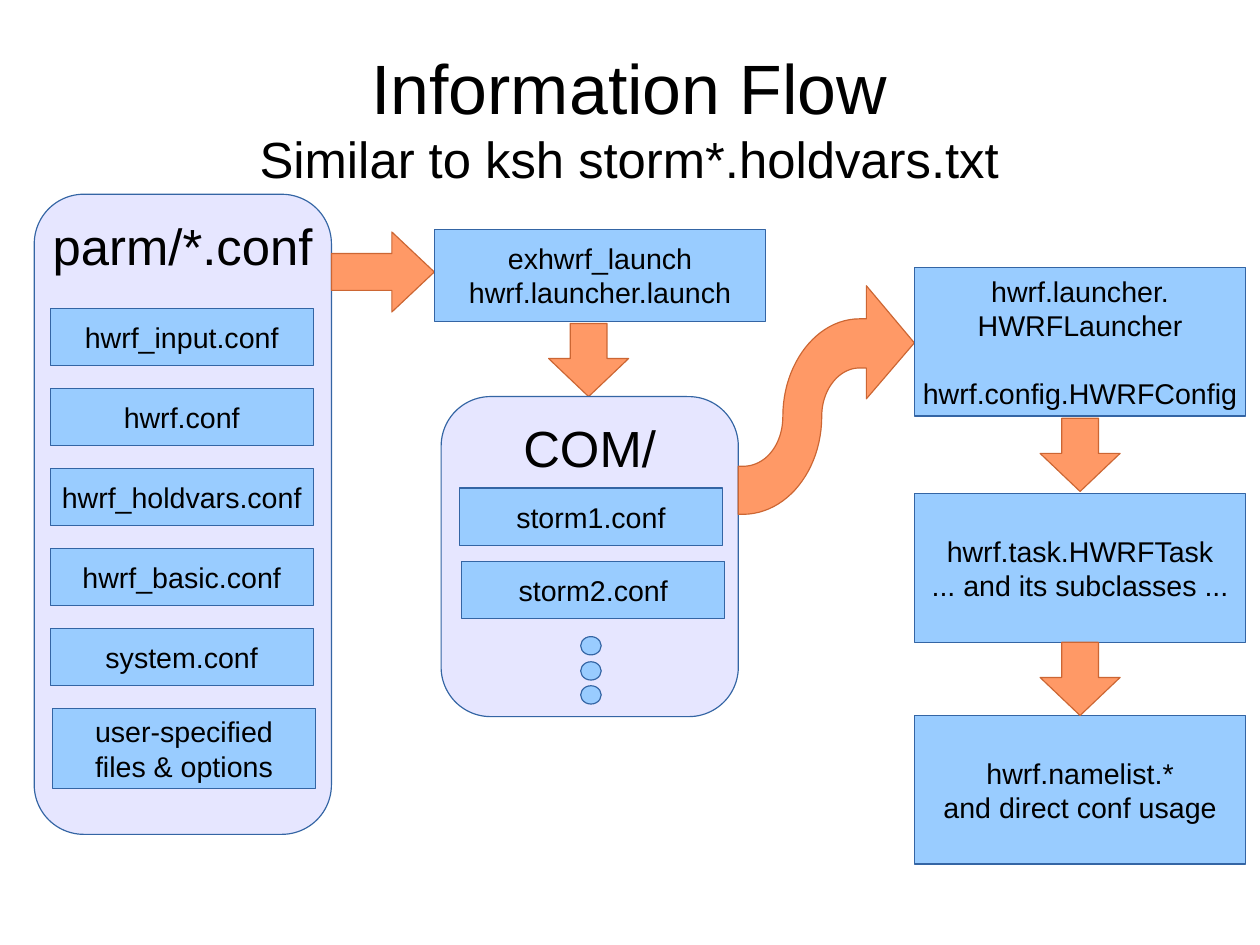
from pptx import Presentation
from pptx.dml.color import RGBColor
from pptx.enum.shapes import MSO_SHAPE
from pptx.enum.text import MSO_ANCHOR, MSO_AUTO_SIZE, PP_ALIGN
from pptx.util import Cm, Pt

EMU_PER_PX = 9144  # 100 px to the inch
PANEL = MSO_SHAPE.FLOWCHART_ALTERNATE_PROCESS
BOX = MSO_SHAPE.FLOWCHART_PROCESS
DOT = MSO_SHAPE.FLOWCHART_CONNECTOR
RIGHT_ARROW = MSO_SHAPE.RIGHT_ARROW
DOWN_ARROW = MSO_SHAPE.DOWN_ARROW
TOP, MIDDLE = MSO_ANCHOR.TOP, MSO_ANCHOR.MIDDLE
CENTER = PP_ALIGN.CENTER
NO_AUTOFIT = MSO_AUTO_SIZE.NONE

BLACK = RGBColor(0x00, 0x00, 0x00)
LAVENDER = RGBColor(0xE6, 0xE6, 0xFF)
SKY = RGBColor(0x99, 0xCC, 0xFF)
BLUE = RGBColor(0x34, 0x65, 0xA4)
ORANGE = RGBColor(0xFF, 0x99, 0x66)
RUST = RGBColor(0xCC, 0x66, 0x33)
FONT = "Arial"
TITLE_ONLY = 5


def px(*lengths):
    return [round(length * EMU_PER_PX) for length in lengths]


def format_font(font, size):
    font.name = FONT
    font.size = Pt(size)
    font.color.rgb = BLACK


def write_text(frame, text, size=18, anchor=MIDDLE, last_gap=0):
    """Write one centred paragraph per line, with last_gap points before the last."""
    frame.word_wrap = False
    frame.vertical_anchor = anchor
    for index, line in enumerate(text.split("\n")):
        paragraph = frame.add_paragraph() if index else frame.paragraphs[0]
        paragraph.alignment = CENTER
        run = paragraph.add_run()
        run.text = line
        format_font(run.font, size)
    if last_gap:
        paragraph.space_before = Pt(last_gap)


def curve_points(start, control1, control2, end, steps=24):
    """Return points along a cubic Bézier curve, without its start."""
    points = []
    for step in range(1, steps + 1):
        t = step / steps
        u = 1 - t
        weights = (u**3, 3 * u * u * t, 3 * u * t * t, t**3)
        points.append(tuple(
            sum(weight * value for weight, value in zip(weights, values))
            for values in zip(start, control1, control2, end)))
    return points


class FlowSlide:
    def __init__(self, slide):
        self.slide = slide

    def paint(self, shape, fill, line):
        shape.shadow.inherit = False
        shape.fill.solid()
        shape.fill.fore_color.rgb = fill
        shape.line.color.rgb = line
        shape.line.width = Pt(0)

    def title(self, heading, subheading):
        title = self.slide.shapes.title
        title.left, title.top, title.width, title.height = px(55, 33, 992, 138)
        frame = title.text_frame
        frame.auto_size = NO_AUTOFIT
        frame.word_wrap = True
        frame.vertical_anchor = MIDDLE
        frame.margin_left = frame.margin_right = 0
        frame.margin_top = frame.margin_bottom = 0
        paragraph = frame.paragraphs[0]
        paragraph.alignment = CENTER
        for text, size in ((heading, 44), (subheading, 32)):
            if paragraph.runs:
                paragraph.add_line_break()
            run = paragraph.add_run()
            run.text = text
            format_font(run.font, size)

    def panel(self, text, left, top, width, height):
        shape = self.slide.shapes.add_shape(PANEL, *px(left, top, width, height))
        self.paint(shape, LAVENDER, BLUE)
        write_text(shape.text_frame, text, size=32, anchor=TOP)

    def box(self, text, left, top, width, height, last_gap=0):
        shape = self.slide.shapes.add_shape(BOX, *px(left, top, width, height))
        self.paint(shape, SKY, BLUE)
        write_text(shape.text_frame, text, last_gap=last_gap)

    def arrow(self, kind, left, top, width, height, shaft, head):
        shape = self.slide.shapes.add_shape(kind, *px(left, top, width, height))
        shape.adjustments[0] = shaft
        shape.adjustments[1] = head
        self.paint(shape, ORANGE, RUST)

    def down_arrow(self, left, top):
        self.arrow(DOWN_ARROW, left, top, 70, 64, 0.46, 0.52)

    def dots(self, left, tops):
        group = self.slide.shapes.add_group_shape()
        for top in tops:
            self.paint(group.shapes.add_shape(DOT, *px(left, top, 18, 16)), SKY, BLUE)

    def curved_arrow(self):
        outline = [
            *curve_points((752, 279), (715, 279), (685, 318), (685, 364)),
            *curve_points((685, 364), (685, 389), (670, 408), (650, 408)),
            (646, 408), (646, 450), (650, 450),
            *curve_points((650, 450), (688, 450), (719, 412), (719, 364)),
            *curve_points((719, 364), (719, 341), (734, 322), (752, 322)),
            (758, 322), (758, 349), (800, 300), (758, 250), (758, 279),
        ]
        builder = self.slide.shapes.build_freeform(*px(752, 279))
        builder.add_line_segments([px(*point) for point in outline], close=True)
        self.paint(builder.convert_to_shape(), ORANGE, RUST)


def main():
    presentation = Presentation()
    presentation.slide_width, presentation.slide_height = Cm(28), Cm(21)
    slide = presentation.slides.add_slide(presentation.slide_layouts[TITLE_ONLY])
    flow = FlowSlide(slide)

    flow.title("Information Flow", "Similar to ksh storm*.holdvars.txt")

    flow.panel("parm/*.conf", 30, 170, 260, 560)
    conf_files = ("hwrf_input.conf", "hwrf.conf", "hwrf_holdvars.conf",
                  "hwrf_basic.conf", "system.conf")
    for row, name in enumerate(conf_files):
        flow.box(name, 44, 270 + 70 * row, 230, 50)
    flow.box("user-specified\nfiles & options", 46, 620, 230, 70)

    flow.arrow(RIGHT_ARROW, 290, 203, 90, 70, 0.46, 0.53)
    flow.box("exhwrf_launch\nhwrf.launcher.launch", 380, 201, 290, 80)
    flow.down_arrow(480, 283)

    flow.panel("COM/", 386, 347, 260, 280)
    flow.box("storm1.conf", 402, 427, 230, 50)
    flow.box("storm2.conf", 404, 491, 230, 50)
    flow.dots(508, (557, 579, 600))
    flow.curved_arrow()

    flow.box("hwrf.launcher.\nHWRFLauncher\nhwrf.config.HWRFConfig",
             800, 234, 290, 130, last_gap=21)
    flow.box("hwrf.task.HWRFTask\n... and its subclasses ...", 800, 432, 290, 130)
    flow.box("hwrf.namelist.*\nand direct conf usage", 800, 626, 290, 130)
    for top in (366, 562):
        flow.down_arrow(910, top)

    presentation.save("out.pptx")


if __name__ == "__main__":
    main()
